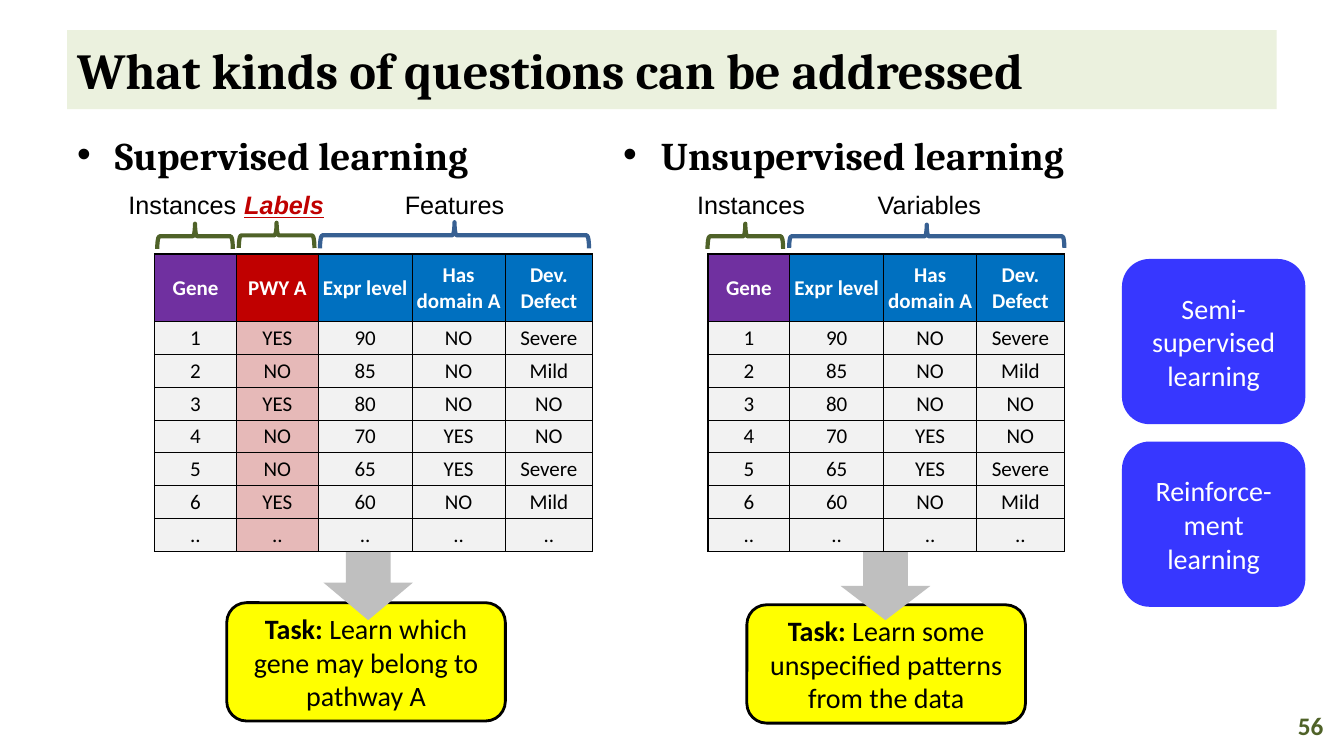
import pptx
import pptx.dml.color
import pptx.enum.shapes
import pptx.enum.text
import pptx.util
from lxml import etree
from pptx.oxml.ns import qn

Pt = pptx.util.Pt
SHAPE = pptx.enum.shapes.MSO_SHAPE
ALIGN = pptx.enum.text.PP_ALIGN
MIDDLE = pptx.enum.text.MSO_ANCHOR.MIDDLE


def rgb(value):
    return pptx.dml.color.RGBColor.from_string(value)


def write(frame, text, size, font="Calibri", color="000000", bold=False, align=ALIGN.CENTER):
    frame.text = text
    frame.word_wrap = True
    for paragraph in frame.paragraphs:
        paragraph.alignment = align
        for run in paragraph.runs:
            run.font.name = font
            run.font.size = Pt(size)
            run.font.bold = bold
            run.font.color.rgb = rgb(color)


presentation = pptx.Presentation()
presentation.slide_width = Pt(960)
presentation.slide_height = Pt(540)
slide = presentation.slides.add_slide(presentation.slide_layouts[6])
shapes = slide.shapes

# Task boxes
for left, top, goal in [
    (533.5, 432, " Learn some unspecified patterns from the data"),
    (162, 430.5, " Learn which gene may belong to pathway A"),
]:
    task = shapes.add_shape(SHAPE.ROUNDED_RECTANGLE, Pt(left), Pt(top), Pt(199), Pt(84.5))
    task.shadow.inherit = False
    task.fill.solid()
    task.fill.fore_color.rgb = rgb("FFFF00")
    task.line.color.rgb = rgb("000000")
    task.line.width = Pt(2)
    task.text_frame.vertical_anchor = MIDDLE
    write(task.text_frame, "Task:", 20, bold=True)
    goal_run = task.text_frame.paragraphs[0].add_run()
    goal_run.text = goal
    goal_run.font.name = "Calibri"
    goal_run.font.size = Pt(20)
    goal_run.font.bold = False
    goal_run.font.color.rgb = rgb("000000")

# Arrows from the tables to the tasks
for left, head_length in [(605.5, 0.452), (236, 0.498)]:
    arrow = shapes.add_shape(SHAPE.RIGHT_ARROW, Pt(left), Pt(384), Pt(54), Pt(64))
    arrow.rotation = 90
    arrow.adjustments[1] = head_length
    arrow.shadow.inherit = False
    arrow.fill.solid()
    arrow.fill.fore_color.rgb = rgb("BFBFBF")
    arrow.line.fill.background()

# Title
title = shapes.add_textbox(Pt(48), Pt(21.6), Pt(864), Pt(56.4))
title.fill.solid()
title.fill.fore_color.rgb = rgb("EBF1DE")
title.text_frame.vertical_anchor = MIDDLE
write(title.text_frame, "What kinds of questions can be addressed", 36, "Cambria", bold=True, align=ALIGN.LEFT)

# Headings of the two halves
for left, heading_text in [(48, "Supervised learning"), (438, "Unsupervised learning")]:
    heading = shapes.add_textbox(Pt(left), Pt(90), Pt(424), Pt(421))
    write(heading.text_frame, heading_text, 28, "Cambria", bold=True, align=ALIGN.LEFT)
    properties = heading.text_frame.paragraphs[0]._p.get_or_add_pPr()
    properties.set("marL", str(Pt(27)))
    properties.set("indent", str(-Pt(27)))
    etree.SubElement(properties, qn("a:buFont")).set("typeface", "Arial")
    etree.SubElement(properties, qn("a:buChar")).set("char", "•")

# Page number
page_number = shapes.add_textbox(Pt(904.3), Pt(504), Pt(48), Pt(28.8))
page_number.text_frame.vertical_anchor = MIDDLE
write(page_number.text_frame, "56", 18, color="4F6228", bold=True, align=ALIGN.RIGHT)

# Tables: header, width, header fill, body fill, values
gene = ("Gene", 58.5, "7030A0", "F2F2F2", "1 2 3 4 5 6 ..")
pathway = ("PWY A", 58.5, "C00000", "E6B9B8", "YES NO YES NO NO YES ..")
features = [
    ("Expr level", 67, "0070C0", "F2F2F2", "90 85 80 70 65 60 .."),
    ("Has domain A", 66.5, "0070C0", "F2F2F2", "NO NO NO YES YES NO .."),
    ("Dev. Defect", 62.5, "0070C0", "F2F2F2", "Severe Mild NO NO Severe Mild .."),
]
for left, columns in [(110.4, [gene, pathway, *features]), (505.7, [gene, *features])]:
    count = len(columns)
    total_width = sum(column[1] for column in columns)
    table = shapes.add_table(8, count, Pt(left), Pt(181.4), Pt(total_width), Pt(212.5)).table
    for r, row in enumerate(table.rows):
        row.height = Pt(23.5 if r else 48)
    for c, (header, width, header_fill, body_fill, values) in enumerate(columns):
        table.columns[c].width = Pt(width)
        for r, value in enumerate([header, *values.split()]):
            cell = table.cell(r, c)
            cell.margin_left = cell.margin_right = cell.margin_top = Pt(0.7)
            cell.margin_bottom = 0
            cell.vertical_anchor = MIDDLE
            write(cell.text_frame, value, 15, color="000000" if r else "FFFFFF", bold=r == 0)
            # Thin lines between features and between body rows
            for side, thin in [
                ("L", count - 3 < c),
                ("R", count - 3 < c + 1 < count),
                ("T", r > 1),
                ("B", r > 0),
            ]:
                border = etree.SubElement(cell._tc.get_or_add_tcPr(), qn("a:ln" + side))
                border.set("w", str(Pt(0.5 if thin else 1)))
                line_fill = etree.SubElement(border, qn("a:solidFill"))
                etree.SubElement(line_fill, qn("a:srgbClr")).set("val", "000000")
            cell.fill.solid()
            cell.fill.fore_color.rgb = rgb(body_fill if r else header_fill)

# Braces over the columns: centre, span, depth, middle height, colour
for center, span, depth, middle, color in [
    (197.6, 54, 18, 168.1, "4F6228"),
    (324.7, 192.2, 18.7, 168.1, "376092"),
    (139.3, 54, 18, 168.8, "4F6228"),
    (662, 196.6, 16.6, 168.8, "376092"),
    (532.4, 54, 18, 168.8, "4F6228"),
]:
    brace = shapes.add_shape(
        SHAPE.RIGHT_BRACE, Pt(center - depth / 2), Pt(middle - span / 2), Pt(depth), Pt(span))
    brace.rotation = 270
    brace.shadow.inherit = False
    brace.fill.background()
    brace.line.color.rgb = rgb(color)
    brace.line.width = Pt(3)

# Names of the column groups
for left, width, group_name in [
    (167, 72, "Labels"),
    (281.5, 86.4, "Features"),
    (84.2, 92.2, "Instances"),
    (619.2, 89.3, "Variables"),
    (490.3, 92.2, "Instances"),
]:
    group = shapes.add_textbox(Pt(left), Pt(131.8), Pt(width), Pt(28.8))
    is_label = group_name == "Labels"
    write(group.text_frame, group_name, 18, "Arial", "C00000" if is_label else "000000", is_label)
    group.text_frame.word_wrap = False
    group.text_frame.auto_size = pptx.enum.text.MSO_AUTO_SIZE.SHAPE_TO_FIT_TEXT
    if is_label:
        label_font = group.text_frame.paragraphs[0].runs[0].font
        label_font.italic = True
        label_font.underline = True

# Other kinds of learning
for top, kind in [(185, "Semi-\nsupervised\nlearning"), (315.4, "Reinforce-ment learning")]:
    other = shapes.add_shape(SHAPE.ROUNDED_RECTANGLE, Pt(801.4), Pt(top), Pt(131), Pt(118))
    other.shadow.inherit = False
    other.fill.solid()
    other.fill.fore_color.rgb = rgb("3737FF")
    other.line.fill.background()
    other.text_frame.vertical_anchor = MIDDLE
    write(other.text_frame, kind, 20, color="FFFFFF")

presentation.save("out.pptx")
